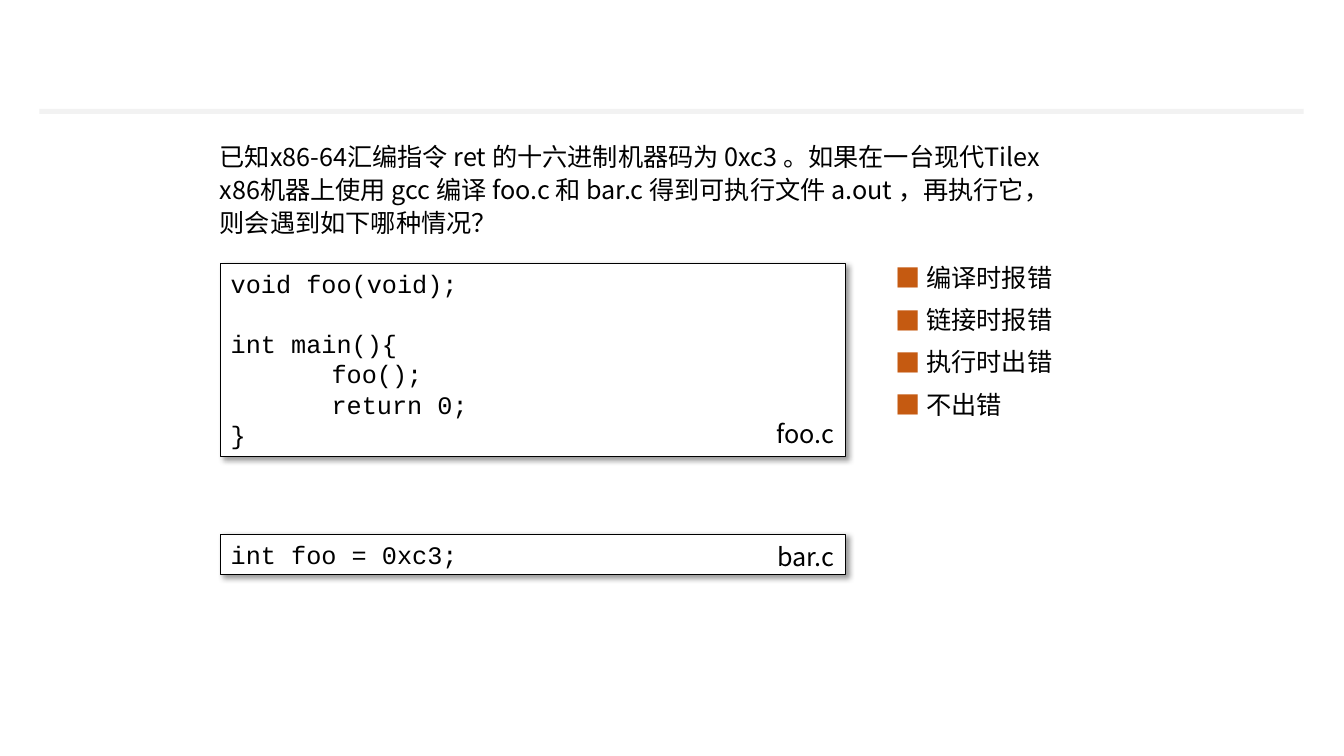
import pptx
import pptx.util
import pptx.dml.color
import pptx.enum.shapes
import pptx.enum.text
import pptx.oxml.ns
from lxml import etree

Inches, Pt = pptx.util.Inches, pptx.util.Pt
RGBColor = pptx.dml.color.RGBColor
qn = pptx.oxml.ns.qn
ALIGN = pptx.enum.text.PP_ALIGN

QUESTION = (
    "已知x86-64汇编指令 ret 的十六进制机器码为 0xc3 。如果在一台现代"
    "Tilex x86机器上使用 gcc 编译 foo.c 和 bar.c 得到可执行文件 a.out ，"
    "再执行它，则会遇到如下哪种情况？"
)
CHOICES = ["编译时报错", "链接时报错", "执行时出错", "不出错"]
FOO = """void foo(void);

int main(){
\tfoo();
\treturn 0;
}"""
BAR = "int foo = 0xc3;"
# file name, code, box top, box height, label top
FILES = [("foo.c", FOO, 2.61, 1.92, 4.07), ("bar.c", BAR, 5.3, 0.4, 5.29)]

BLACK = RGBColor(0x00, 0x00, 0x00)
WHITE = RGBColor(0xFF, 0xFF, 0xFF)
GRAY = RGBColor(0xF2, 0xF2, 0xF2)
RUST = RGBColor(0xC5, 0x5A, 0x11)
SANS, MONO = "Noto Sans CJK SC", "Courier New"
SIZE = 18
LINE = 1.2 * SIZE
INDENT = Inches(0.31)


def add(parent, tag, **attrs):
    return etree.SubElement(parent, qn(tag), {k: str(v) for k, v in attrs.items()})


def add_bullet(para):
    props = para._p.get_or_add_pPr()
    props.set("marL", str(INDENT))
    props.set("indent", str(-INDENT))
    add(add(props, "a:buClr"), "a:srgbClr", val=RUST)
    add(props, "a:buFont", typeface=SANS)
    add(props, "a:buChar", char="■")


def add_tab(para):
    tabs = add(para._p.get_or_add_pPr(), "a:tabLst")
    add(tabs, "a:tab", pos=Inches(1), algn="l")


def write(shape, text, face, ratio=1, align=ALIGN.LEFT, prep=None):
    """Fill a shape with text; prep adds bullets or tabs to each paragraph."""
    frame = shape.text_frame
    frame.word_wrap = True
    frame.vertical_anchor = pptx.enum.text.MSO_ANCHOR.TOP
    frame.text = text
    for para in frame.paragraphs:
        para.alignment = align
        para.line_spacing = Pt(LINE * ratio)
        if prep:
            prep(para)
        font = para.font
        font.size, font.name = Pt(SIZE), face
        font.color.rgb = BLACK
        add(font._element, "a:ea", typeface=face)


def add_rect(slide, box, fill):
    kind = pptx.enum.shapes.MSO_SHAPE.RECTANGLE
    rect = slide.shapes.add_shape(kind, *map(Inches, box))
    rect.shadow.inherit = False
    rect.fill.solid()
    rect.fill.fore_color.rgb = fill
    rect.line.fill.background()
    return rect


def add_code(slide, box, code):
    rect = add_rect(slide, box, WHITE)
    rect.line.color.rgb = BLACK
    rect.line.width = Pt(0.75)
    effects = rect._element.spPr.find(qn("a:effectLst"))
    shade = add(effects, "a:outerShdw", blurRad=Pt(4), dist=Pt(3),
                dir=45 * 60000, algn="tl", rotWithShape=0)
    add(add(shade, "a:srgbClr", val=BLACK), "a:alpha", val=40000)
    write(rect, code, MONO, prep=add_tab)


def add_text(slide, box, text, ratio=1.1, **style):
    write(slide.shapes.add_textbox(*map(Inches, box)), text, SANS, ratio, **style)


def main():
    deck = pptx.Presentation()
    deck.slide_width, deck.slide_height = Inches(13.33), Inches(7.5)
    slide = deck.slides.add_slide(deck.slide_layouts[6])

    add_rect(slide, (0.39, 1.08, 12.54, 0.05), GRAY)
    for name, code, top, height, label in FILES:
        add_code(slide, (2.19, top, 6.2, height), code)
        add_text(slide, (6.48, label, 3.02, 0.42), name, align=ALIGN.CENTER)
    add_text(slide, (2.08, 1.32, 8.64, 1.08), QUESTION)
    add_text(slide, (8.78, 2.43, 2.16, 1.76), "\n".join(CHOICES),
             ratio=1.4, prep=add_bullet)

    deck.save("out.pptx")


if __name__ == "__main__":
    main()
